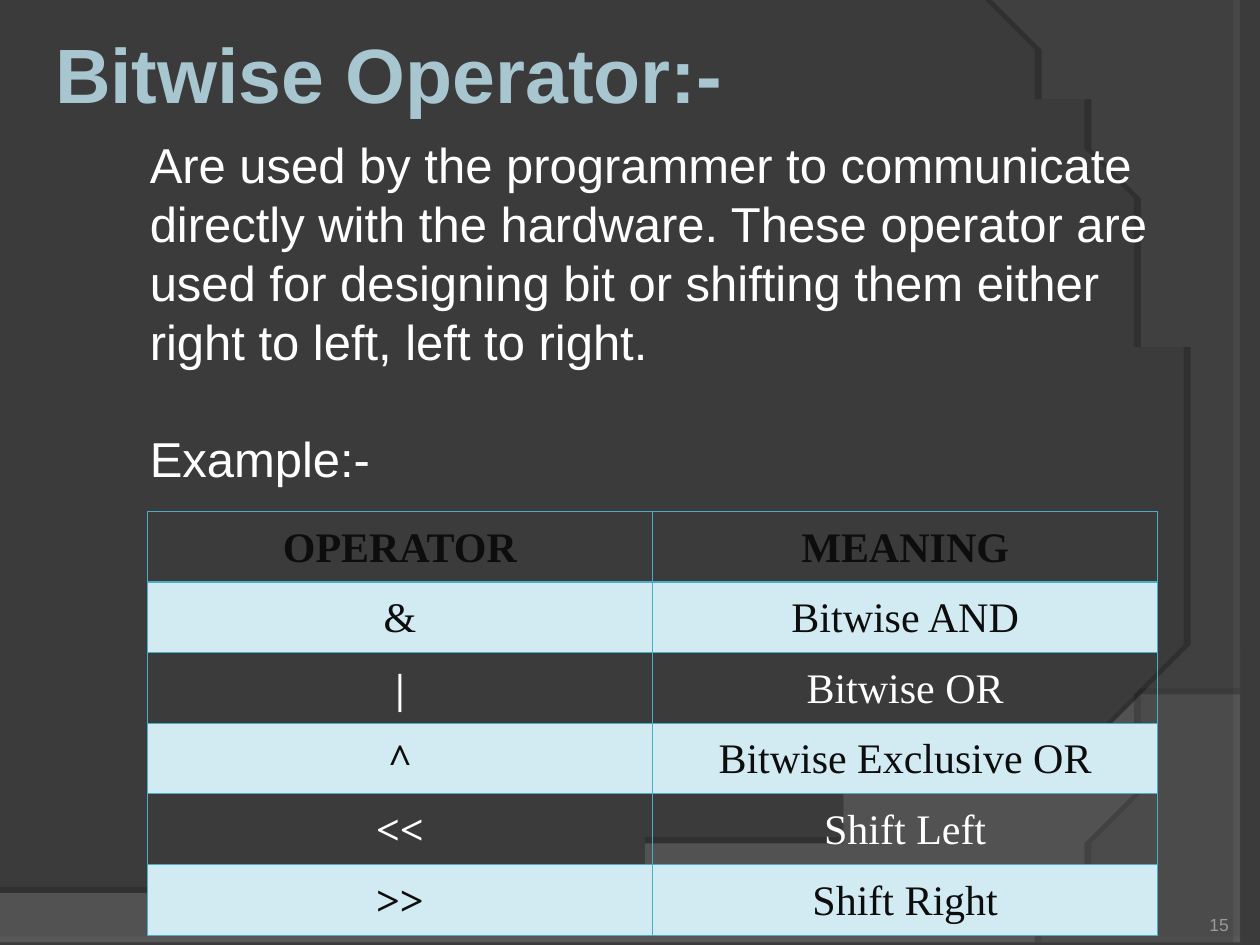
from lxml.etree import SubElement
from pptx import Presentation
from pptx.dml.color import RGBColor
from pptx.enum.text import MSO_ANCHOR, PP_ALIGN
from pptx.oxml.ns import qn
from pptx.util import Cm, Pt

BACKGROUND = RGBColor(0x3B, 0x3B, 0x3B)
WAVE = RGBColor(0x7C, 0x7C, 0x7C)
ARC = RGBColor(0x59, 0x59, 0x59)
TITLE = RGBColor(0xA8, 0xC6, 0xD0)
WHITE = RGBColor(0xFF, 0xFF, 0xFF)
DARK = RGBColor(0x0D, 0x0D, 0x0D)
BAND = RGBColor(0xD2, 0xEA, 0xF1)
BORDER = RGBColor(0x4B, 0xAC, 0xC6)
NUMBER = RGBColor(0x9B, 0x9A, 0x98)

# Content
HEADING = "Bitwise Operator:-"
BODY = [
    "Are used by the programmer to communicate directly with the hardware. "
    "These operator are used for designing bit or shifting them either "
    "right to left, left to right.",
    "Example:-",
]
OPERATORS = [
    ("OPERATOR", "MEANING"),
    ("&", "Bitwise AND"),
    ("|", "Bitwise OR"),
    ("^", "Bitwise Exclusive OR"),
    ("<<", "Shift Left"),
    (">>", "Shift Right"),
]
PAGE_NUMBER = "15"

deck = Presentation()
deck.slide_width, deck.slide_height = Cm(25.4), Cm(19.05)
page = deck.slides.add_slide(deck.slide_layouts[6])
page.background.fill.solid()
page.background.fill.fore_color.rgb = BACKGROUND


def curve(start, pull_start, pull_end, end, steps=40):
    """Points along a cubic curve, without its start."""
    points = []
    for step in range(1, steps + 1):
        t = step / steps
        weights = ((1 - t) ** 3, 3 * t * (1 - t) ** 2, 3 * t * t * (1 - t), t ** 3)
        corners = (start, pull_start, pull_end, end)
        points.append(tuple(sum(w * c[axis] for w, c in zip(weights, corners))
                            for axis in (0, 1)))
    return points


def add_swoosh(points, color, opacity, shadow_opacity, distance, angle):
    """A translucent outline with a hard shadow; points are in centimetres."""
    scale = Cm(1)
    builder = page.shapes.build_freeform(*points[0], scale=scale)
    builder.add_line_segments(points[1:], close=True)
    shape = builder.convert_to_shape()
    shape.fill.solid()
    shape.fill.fore_color.rgb = color
    shape.line.fill.background()
    fill_color = shape.fill._xPr.find(qn("a:solidFill"))[0]
    SubElement(fill_color, qn("a:alpha"), val=str(opacity * 1000))
    effects = SubElement(shape.fill._xPr, qn("a:effectLst"))
    shadow = SubElement(effects, qn("a:outerShdw"), blurRad="0", dist=str(Pt(distance)),
                        dir=str(angle * 60000), algn="ctr", rotWithShape="0")
    shadow_color = SubElement(shadow, qn("a:srgbClr"), val="000000")
    SubElement(shadow_color, qn("a:alpha"), val=str(shadow_opacity * 1000))


def add_span(para, text, size, color, font="Arial", bold=False):
    span = para.add_run()
    span.text = text
    span.font.name, span.font.size, span.font.bold = font, Pt(size), bold
    span.font.color.rgb = color


def add_box(left, top, width, height, wrap=True):
    box = page.shapes.add_textbox(Cm(left), Cm(top), Cm(width), Cm(height))
    box.text_frame.word_wrap = wrap
    return box.text_frame


def set_borders(cell, widths):
    properties = cell._tc.get_or_add_tcPr()
    for index, (side, width) in enumerate(widths.items()):
        line = properties.makeelement(qn(f"a:{side}"), {"w": str(Pt(width))})
        fill = SubElement(line, qn("a:solidFill"))
        SubElement(fill, qn("a:srgbClr"), val=str(BORDER))
        properties.insert(index, line)


# Background swooshes
wave_start, wave_end = (25.4, 13.21), (0, 17.91)
add_swoosh([wave_end, (0, 19.08), (25.4, 19.08), wave_start]
           + curve(wave_start, (14.2, 18.52), (9.93, 18.26), wave_end),
           WAVE, 45, 35, 3.5, 270)
arc_start, arc_end = (20.85, 19.05), (20.32, 0)
add_swoosh([(25.4, 0.05), (25.4, 19.05), arc_start]
           + curve(arc_start, (23.75, 15.72), (25.86, 7.62), arc_end),
           ARC, 40, 45, 4, 180)

# Heading and body
heading = add_box(0.86, 0.41, 13.97, 2.13, wrap=False)
add_span(heading.paragraphs[0], HEADING, 44, TITLE, bold=True)

body = add_box(2.77, 2.59, 21.31, 7.37)
for index, text in enumerate(BODY):
    para = body.paragraphs[0] if index == 0 else body.add_paragraph()
    if index:
        para.space_before = Pt(33.6)
    add_span(para, text, 28, WHITE)

# Operator table
frame = page.shapes.add_table(len(OPERATORS), 2, Cm(2.97), Cm(10.31), Cm(20.37), Cm(7.92))
table = frame.table
table.first_row = table.horz_banding = False
for row, texts in enumerate(OPERATORS):
    banded = row % 2 == 1
    for column, text in enumerate(texts):
        cell = table.cell(row, column)
        cell.margin_left = cell.margin_right = Cm(0.19)
        if banded:
            cell.fill.solid()
            cell.fill.fore_color.rgb = BAND
        else:
            cell.fill.background()
        set_borders(cell, {"lnL": 0.45, "lnR": 0.45,
                           "lnT": 1.08 if row == 1 else 0.45,
                           "lnB": 1.08 if row == 0 else 0.45})
        para = cell.text_frame.paragraphs[0]
        para.alignment, para.line_spacing = PP_ALIGN.CENTER, 1.15
        add_span(para, text, 24, DARK if banded or row == 0 else WHITE,
                 "Times New Roman", bold=row == 0 or (column == 0 and row > 1))

# Page number
number = add_box(22.66, 17.83, 2.11, 1.02)
number.margin_left = number.margin_right = number.margin_top = number.margin_bottom = 0
number.vertical_anchor = MSO_ANCHOR.BOTTOM
number.paragraphs[0].alignment = PP_ALIGN.RIGHT
add_span(number.paragraphs[0], PAGE_NUMBER, 10, NUMBER)

deck.save("out.pptx")
